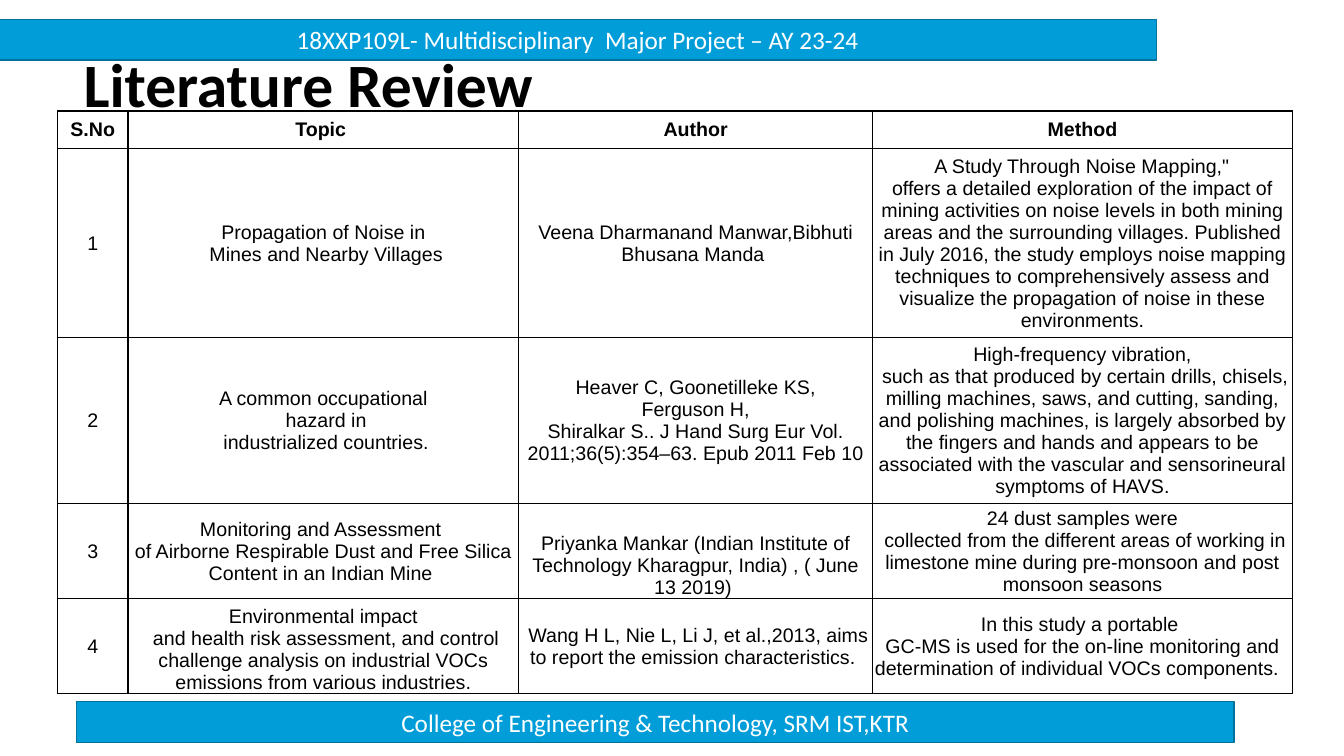
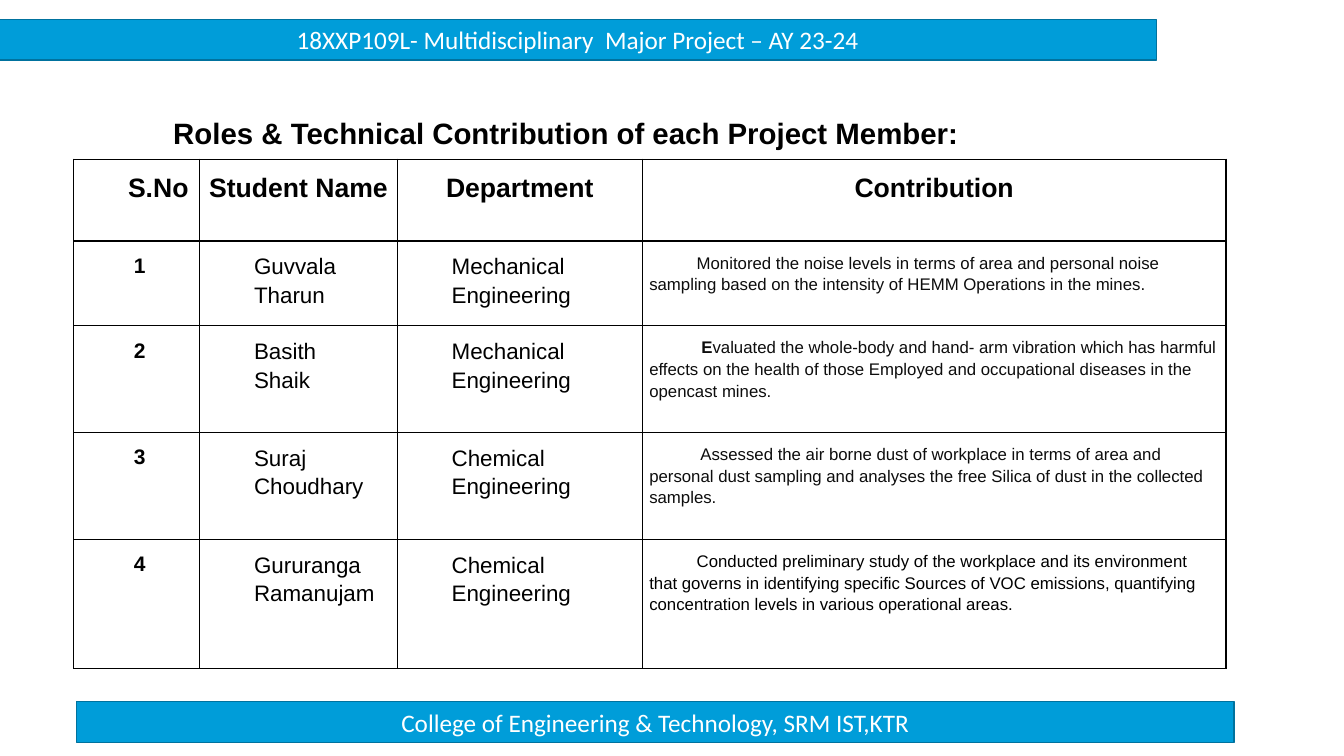
from copy import deepcopy
from dataclasses import dataclass

from lxml.etree import SubElement
from pptx import Presentation
from pptx.dml.color import RGBColor as Rgb
from pptx.enum.shapes import MSO_SHAPE as Shape
from pptx.enum.text import MSO_ANCHOR as Anchor, PP_ALIGN as Align
from pptx.oxml.ns import qn
from pptx.util import Inches, Pt


@dataclass(frozen=True)
class Theme:
    """Colours, fonts and type sizes shared by the slides."""
    band: str = "009DD9"
    band_edge: str = "00729E"
    light: str = "FFFFFF"
    ink: str = "000000"
    soft_ink: str = "0D0D0D"
    heading_font: str = "Calibri"
    body_font: str = "Arial"
    title_size: int = 44
    subtitle_size: int = 21
    band_size: int = 18
    review_size: int = 14
    role_head_size: int = 19
    number_size: int = 15
    name_size: int = 16
    detail_size: int = 12


@dataclass(frozen=True)
class Box:
    """A region given in percent of the slide's width and height."""
    left: float
    top: float
    width: float
    height: float

    def place(self):
        """Return left, top, width and height as lengths."""
        return (int(WIDTH * self.left / 100), int(HEIGHT * self.top / 100),
                int(WIDTH * self.width / 100), int(HEIGHT * self.height / 100))


THEME = Theme()
WIDTH, HEIGHT = Inches(13.33), Inches(7.5)
INDENT = Inches(0.47)

HEADER = "18XXP109L- Multidisciplinary  Major Project – AY 23-24"
FOOTER = "College of Engineering & Technology, SRM IST,KTR"

REVIEW = [
    ("S.No", "Topic ", "Author", "Method"),
    ("1", "Propagation of Noise in\v Mines and Nearby Villages",
     "Veena Dharmanand Manwar,Bibhuti Bhusana Manda ",
     " A Study Through Noise Mapping,\" \voffers a detailed exploration of the impact of mining "
     "activities on noise levels in both mining areas and the surrounding villages. Published in "
     "July 2016, the study employs noise mapping techniques to comprehensively assess and "
     "visualize the propagation of noise in these environments."),
    ("2", "A common occupational\v hazard in\v industrialized countries.",
     "Heaver C, Goonetilleke KS,\v Ferguson H, \vShiralkar S.. J Hand Surg Eur Vol. "
     "2011;36(5):354–63. Epub 2011 Feb 10",
     "High-frequency vibration,\v such as that produced by certain drills, chisels, milling "
     "machines, saws, and cutting, sanding, and polishing machines, is largely absorbed by the "
     "fingers and hands and appears to be associated with the vascular and sensorineural "
     "symptoms of HAVS."),
    ("3", "Monitoring and Assessment \vof Airborne Respirable Dust and Free Silica Content in an "
     "Indian Mine ",
     "Priyanka Mankar (Indian Institute of Technology Kharagpur, India) , ( June 13 2019) ",
     "24 dust samples were\v collected from the different areas of working in limestone mine "
     "during pre-monsoon and post monsoon seasons"),
    ("4", "Environmental impact\v and health risk assessment, and control challenge analysis on "
     "industrial VOCs emissions from various industries.",
     " Wang H L, Nie L, Li J, et al.,2013, aims to report the emission characteristics. ",
     "In this study a portable \vGC-MS is used for the on-line monitoring and determination of "
     "individual VOCs components.  "),
]
REVIEW_BOTTOM_CELLS = {(3, 2), (4, 1)}

ROLES = [
    ("S.No", "Student Name", "Department", "Contribution"),
    (" 1", "Guvvala\nTharun", "Mechanical\nEngineering ",
     "Monitored the noise levels in terms of area and personal noise sampling based on the "
     "intensity of HEMM Operations in the mines."),
    (" 2", "Basith\nShaik", "Mechanical\nEngineering ",
     "valuated the whole-body and hand- arm vibration which has harmful effects on the health of "
     "those Employed and occupational diseases in the opencast mines."),
    (" 3", "Suraj\nChoudhary", "Chemical\nEngineering ",
     " Assessed the air borne dust of workplace in terms of area and personal dust sampling and "
     "analyses the free Silica of dust in the collected samples."),
    (" 4", "Gururanga\nRamanujam", "Chemical\nEngineering ",
     "Conducted preliminary study of the workplace and its environment that governs in "
     "identifying specific Sources of VOC emissions, quantifying concentration levels in various "
     "operational areas."),
]
ROLE_BOLD_LEADS = {(2, 3): " E"}


def write(frame, text, size, font=THEME.body_font, color=THEME.ink, bold=False, lead="",
          align=Align.LEFT, spacing=None, indent=0):
    """Fill a text frame: newlines part paragraphs, vertical tabs break lines."""
    for number, line in enumerate(text.split("\n")):
        para = frame.add_paragraph() if number else frame.paragraphs[0]
        para.alignment = align
        if spacing:
            para.line_spacing = spacing
        if indent:
            properties = para._p.get_or_add_pPr()
            properties.set("marL", "0")
            properties.set("indent", str(indent))
        pieces = [(part, bold) for part in line.split("\v")]
        if lead and not number:
            add_span(para, lead, size, font, color, True)
        for order, (part, heavy) in enumerate(pieces):
            if order:
                para.add_line_break()
            span = add_span(para, part, size, font, color, heavy)
        for line_break in para._p.findall(qn("a:br")):
            line_break.append(deepcopy(span._r.rPr))


def add_span(para, text, size, font, color, bold):
    """Add one formatted run to a paragraph."""
    span = para.add_run()
    span.text = text
    span.font.size = Pt(size)
    span.font.name = font
    span.font.bold = bold
    span.font.color.rgb = Rgb.from_string(color)
    return span


def add_band(page, box, text):
    """Draw a coloured band with centred text."""
    band = page.shapes.add_shape(Shape.RECTANGLE, *box.place())
    band.shadow.inherit = False
    band.fill.solid()
    band.fill.fore_color.rgb = Rgb.from_string(THEME.band)
    band.line.color.rgb = Rgb.from_string(THEME.band_edge)
    band.line.width = Pt(1)
    band.text_frame.vertical_anchor = Anchor.MIDDLE
    write(band.text_frame, text, THEME.band_size, font=THEME.heading_font,
          color=THEME.light, align=Align.CENTER)


def add_title(page, box, text, size, **style):
    """Place a bold title centred vertically in its box."""
    frame = page.shapes.add_textbox(*box.place()).text_frame
    frame.word_wrap = True
    frame.vertical_anchor = Anchor.MIDDLE
    frame.margin_top = frame.margin_bottom = 0
    write(frame, text, size, bold=True, **style)


def add_borders(cell):
    """Rule all four sides of a cell in the ink colour."""
    properties = cell._tc.get_or_add_tcPr()
    for order, side in enumerate(("lnL", "lnR", "lnT", "lnB")):
        rule = SubElement(properties, qn(f"a:{side}"), w=str(Pt(1)))
        fill = SubElement(rule, qn("a:solidFill"))
        SubElement(fill, qn("a:srgbClr"), val=THEME.ink)
        properties.insert(order, rule)


def add_ruled_table(page, box, columns, rows, records, margins, look, anchor_of):
    """Add a ruled table whose columns and rows share the box by weight."""
    left, top, width, height = box.place()
    table = page.shapes.add_table(len(rows), len(columns), left, top, width, height).table
    table.first_row = table.horz_banding = False
    for column, weight in zip(table.columns, columns):
        column.width = int(width * weight / sum(columns))
    for row, weight in zip(table.rows, rows):
        row.height = int(height * weight / sum(rows))
    for row, record in enumerate(records):
        for column, text in enumerate(record):
            cell = table.cell(row, column)
            cell.fill.background()
            add_borders(cell)
            (cell.margin_left, cell.margin_top,
             cell.margin_right, cell.margin_bottom) = map(Inches, margins)
            cell.vertical_anchor = anchor_of(row, column)
            write(cell.text_frame, text, **look(row, column))


def review_look(row, column):
    """Return the text format of a literature review cell."""
    return dict(size=THEME.review_size, bold=row == 0, align=Align.CENTER)


def review_anchor(row, column):
    """Return the vertical anchor of a literature review cell."""
    return Anchor.BOTTOM if (row, column) in REVIEW_BOTTOM_CELLS else Anchor.MIDDLE


def role_look(row, column):
    """Return the text format of a project role cell."""
    if row == 0:
        style = dict(size=THEME.role_head_size, bold=True)
        style.update(dict(align=Align.CENTER) if column else dict(indent=INDENT))
    elif column == 3:
        style = dict(size=THEME.detail_size, indent=INDENT, lead=ROLE_BOLD_LEADS.get((row, 3), ""),
                     color=THEME.ink if row == 4 else THEME.soft_ink)
    else:
        style = dict(size=THEME.name_size if column else THEME.number_size,
                     bold=column == 0, align=Align.JUSTIFY, indent=INDENT)
    return dict(style, spacing=1.15)


def role_anchor(row, column):
    """Return the vertical anchor of a project role cell."""
    return Anchor.TOP


def add_page(deck):
    """Add a blank slide with the shared header and footer bands."""
    page = deck.slides.add_slide(deck.slide_layouts[6])
    add_band(page, Box(5.7, 92.8, 86.12, 5.4), FOOTER)
    add_band(page, Box(-0.08, 2.55, 86.12, 5.4), HEADER)
    return page


def add_review_page(deck):
    """Build the literature review slide."""
    page = add_page(deck)
    add_title(page, Box(5.48, 7.87, 86.27, 7.33), "Literature Review", THEME.title_size,
              font=THEME.heading_font, spacing=0.9)
    add_ruled_table(page, Box(4.28, 14.67, 91.9, 73.2), (70, 388, 351, 417),
                    (37, 178, 156, 89, 89), REVIEW, (0.01, 0.01, 0.01, 0),
                    review_look, review_anchor)


def add_roles_page(deck):
    """Build the slide of project member roles."""
    page = add_page(deck)
    add_title(page, Box(12.15, 13.87, 70, 6.67),
              "Roles & Technical Contribution of each Project Member:",
              THEME.subtitle_size, spacing=1.15)
    add_ruled_table(page, Box(5.48, 21.07, 85.75, 67.33), (125, 196, 243, 579),
                    (81, 84, 106, 106, 128), ROLES, (0.07, 0.1, 0.07, 0.1),
                    role_look, role_anchor)


def main():
    """Build the deck and save it."""
    deck = Presentation()
    deck.slide_width, deck.slide_height = WIDTH, HEIGHT
    add_review_page(deck)
    add_roles_page(deck)
    deck.save("out.pptx")


if __name__ == "__main__":
    main()
